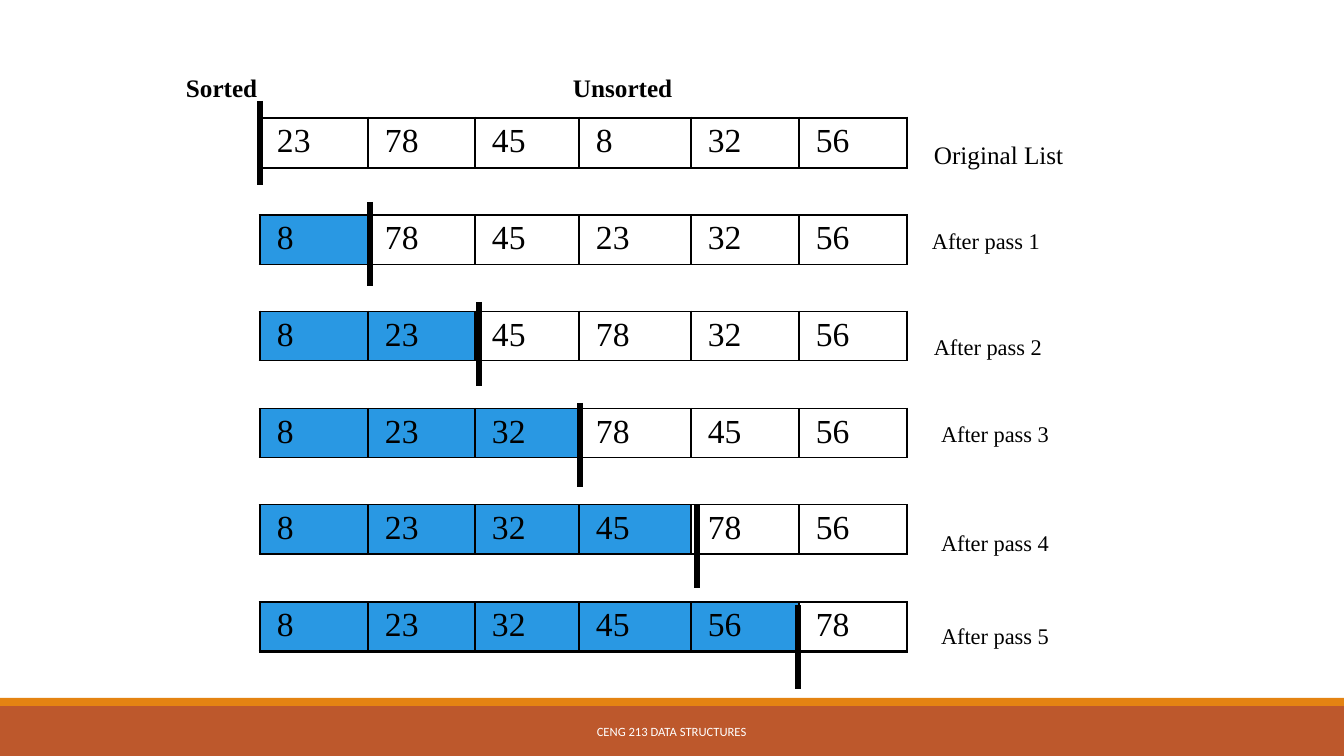
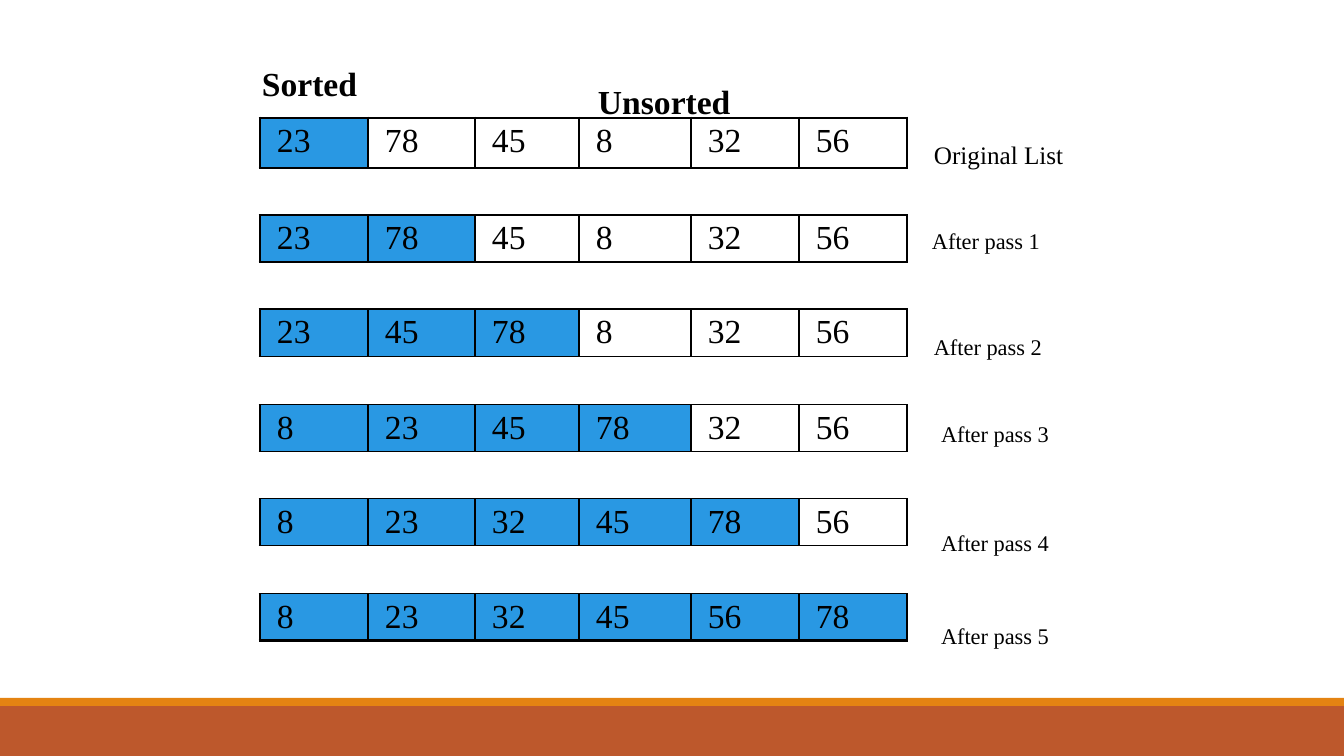
from lxml import etree
from pptx import Presentation
from pptx.dml.color import RGBColor
from pptx.enum.shapes import MSO_CONNECTOR, MSO_SHAPE
from pptx.enum.text import MSO_ANCHOR, PP_ALIGN
from pptx.oxml.ns import qn
from pptx.util import Pt

PX = 914400 / 100.8  # EMU in one px

BLACK = RGBColor(0x00, 0x00, 0x00)
WHITE = RGBColor(0xFF, 0xFF, 0xFF)
SORTED_BLUE = RGBColor(0x29, 0x98, 0xE3)
RUST = RGBColor(0xBD, 0x58, 0x2C)
ORANGE = RGBColor(0xE4, 0x83, 0x12)
SERIF, SANS = "Times New Roman", "Calibri"
NO_STYLE = "{2D5ABB26-0587-4C30-8999-92F81FD0307C}"
THIN, THICK = 1, 2.25

# Shared layout: bands, table grid, row labels
BANDS = [(706, 50, RUST), (698, 8, ORANGE)]
GRID_LEFT, GRID_TOP = 260, 118
COLUMN_WIDTHS = [108, 107, 104, 112, 108, 108]
ROW_HEIGHTS = [50, 47, 47, 47, 48, 48, 47, 47, 47, 48, 47]
ROW_LABELS = [  # text, left, top, size, has inset
    ("Original List", 924, 134, 18, True),
    ("After pass 1", 932, 227, 16, False),
    ("After pass 2", 924, 328, 16, True),
    ("After pass 3", 941, 420, 16, False),
    ("After pass 4", 941, 529, 16, False),
    ("After pass 5", 941, 622, 16, False),
]

# What differs: footer, headings, sorted count at the start, passes, dividers
SORTS = [
    {
        "footer": "CENG 213 DATA STRUCTURES",
        "heading_size": 18,
        "headings": [("Sorted", 176, 67), ("Unsorted", 563, 67)],
        "sorted_at_start": 0,
        "passes": [
            [23, 78, 45, 8, 32, 56],
            [8, 78, 45, 23, 32, 56],
            [8, 23, 45, 78, 32, 56],
            [8, 23, 32, 78, 45, 56],
            [8, 23, 32, 45, 78, 56],
            [8, 23, 32, 45, 56, 78],
        ],
        "dividers": [(260, 101), (370, 202), (479, 302),
                     (580, 403), (697, 504), (798, 605)],
    },
    {
        "footer": None,
        "heading_size": 24,
        "headings": [("Sorted", 252, 58), ("Unsorted", 588, 76)],
        "sorted_at_start": 1,
        "passes": [
            [23, 78, 45, 8, 32, 56],
            [23, 78, 45, 8, 32, 56],
            [23, 45, 78, 8, 32, 56],
            [8, 23, 45, 78, 32, 56],
            [8, 23, 32, 45, 78, 56],
            [8, 23, 32, 45, 56, 78],
        ],
        "dividers": [],
    },
]


def px(*lengths):
    return [round(length * PX) for length in lengths]


def add_text(slide, text, box, size, font=SERIF, color=BLACK, bold=False, inset=True):
    frame = slide.shapes.add_textbox(*px(*box)).text_frame
    frame.word_wrap = True
    if not inset:
        frame.margin_left = frame.margin_top = 0
        frame.margin_right = frame.margin_bottom = 0
    frame.text = text
    run_font = frame.paragraphs[0].runs[0].font
    run_font.name, run_font.size, run_font.bold = font, Pt(size), bold
    run_font.color.rgb = color
    return frame


prs = Presentation()
prs.slide_width, prs.slide_height = px(1344, 756)

for sort in SORTS:
    slide = prs.slides.add_slide(prs.slide_layouts[6])

    # Bottom bands and footer
    for top, height, color in BANDS:
        band = slide.shapes.add_shape(MSO_SHAPE.RECTANGLE, *px(0, top, 1344, height))
        band.shadow.inherit = False
        band.fill.solid()
        band.fill.fore_color.rgb = color
        band.line.fill.background()
    if sort["footer"]:
        footer = add_text(slide, sort["footer"], (406, 712, 531, 40), 9, SANS, WHITE)
        footer.vertical_anchor = MSO_ANCHOR.MIDDLE
        footer.paragraphs[0].alignment = PP_ALIGN.CENTER

    # Table: list rows alternate with empty spacer rows
    grid = slide.shapes.add_table(
        len(ROW_HEIGHTS), len(COLUMN_WIDTHS),
        *px(GRID_LEFT, GRID_TOP, sum(COLUMN_WIDTHS), sum(ROW_HEIGHTS))).table
    grid.first_row = grid.horz_banding = False
    grid._tbl.tblPr.find(qn("a:tableStyleId")).text = NO_STYLE
    for column, width in zip(grid.columns, px(*COLUMN_WIDTHS)):
        column.width = width
    for row, height in zip(grid.rows, px(*ROW_HEIGHTS)):
        row.height = height
    for cell in grid.iter_cells():
        cell.fill.background()

    last_row, last_col = len(ROW_HEIGHTS) - 1, len(COLUMN_WIDTHS) - 1
    for pass_no, values in enumerate(sort["passes"]):
        row_no = 2 * pass_no
        for col_no, value in enumerate(values):
            cell = grid.cell(row_no, col_no)
            cell.margin_left, cell.margin_top, cell.margin_bottom = px(17, 5, 4)
            cell.text_frame.text = str(value)
            font = cell.text_frame.paragraphs[0].runs[0].font
            font.name, font.size = SERIF, Pt(24)
            font.color.rgb = BLACK

            # Borders are thick on the outside; they precede the fill in the XML
            outer_sides = [("a:lnL", col_no == 0), ("a:lnR", col_no == last_col),
                           ("a:lnT", row_no == 0), ("a:lnB", row_no == last_row)]
            properties = cell._tc.get_or_add_tcPr()
            for position, (side, outer) in enumerate(outer_sides):
                border = etree.Element(qn(side), w=str(Pt(THICK if outer else THIN)))
                paint = etree.SubElement(border, qn("a:solidFill"))
                etree.SubElement(paint, qn("a:srgbClr"), val=str(BLACK))
                properties.insert(position, border)
            if col_no < pass_no + sort["sorted_at_start"]:
                cell.fill.solid()
                cell.fill.fore_color.rgb = SORTED_BLUE

    # Row labels and headings
    for text, left, top, size, inset in ROW_LABELS:
        add_text(slide, text, (left, top, 189, 38), size, inset=inset)
    for text, left, top in sort["headings"]:
        add_text(slide, text, (left, top, 159, 45), sort["heading_size"], bold=True)

    # Dividers between the sorted and unsorted parts
    for x, top in sort["dividers"]:
        divider = slide.shapes.add_connector(
            MSO_CONNECTOR.STRAIGHT, *px(x, top, x, top + 84))
        divider.line.color.rgb = BLACK
        divider.line.width = Pt(4.5)
        etree.SubElement(divider._element.spPr, qn("a:effectLst"))

prs.save("out.pptx")
